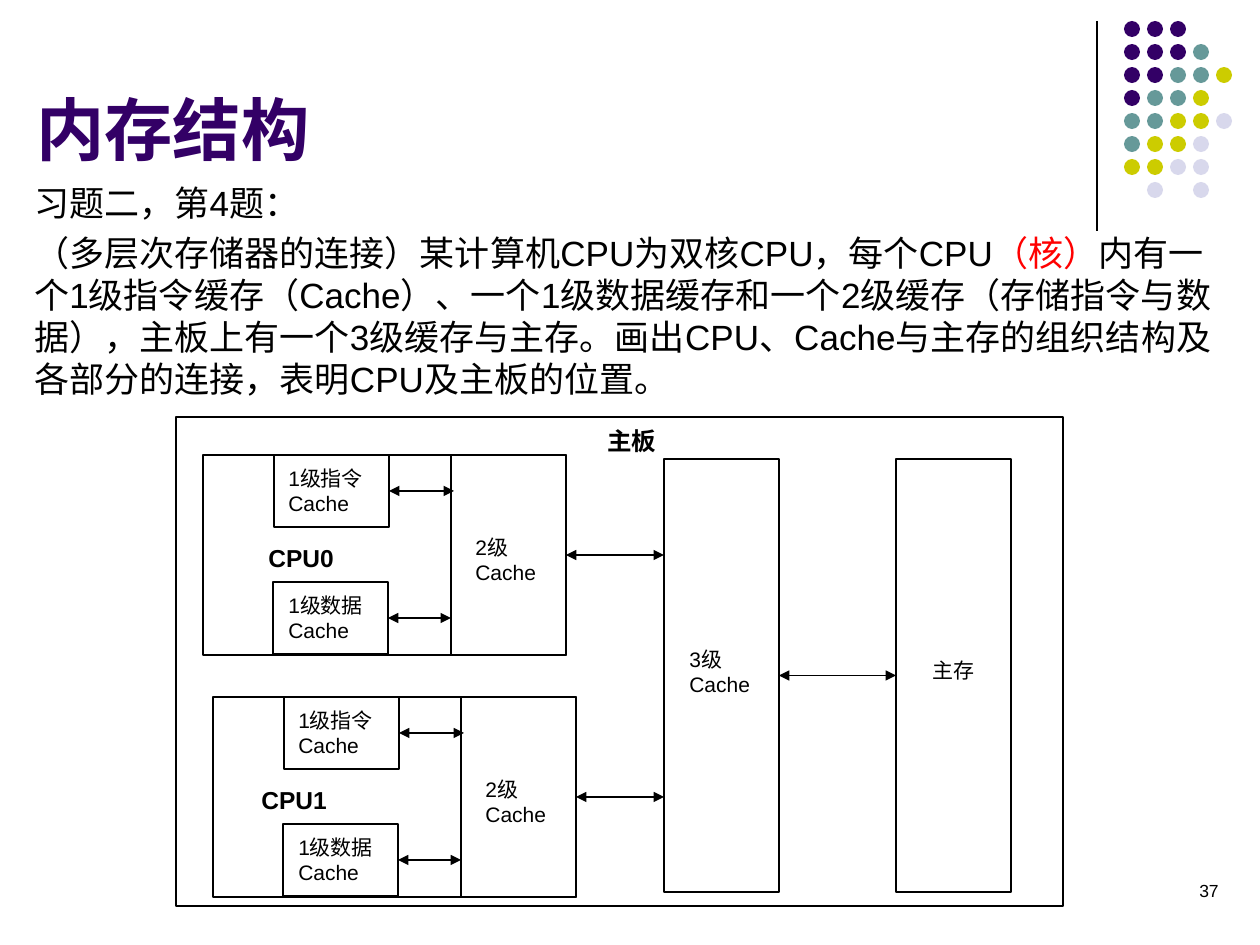
from lxml.etree import SubElement
from pptx import Presentation
from pptx.dml.color import RGBColor
from pptx.enum.lang import MSO_LANGUAGE_ID as Lang
from pptx.enum.shapes import MSO_CONNECTOR, MSO_SHAPE
from pptx.enum.text import MSO_ANCHOR as Anchor, PP_ALIGN as Align
from pptx.oxml.ns import qn
from pptx.util import Pt

PX = 914400 / 126
COLORS = {"black": "000000", "red": "FF0000", "purple": "330066",
          "teal": "669999", "olive": "CCCC00", "lavender": "D8D8EC"}
RGB = {name: RGBColor.from_string(value) for name, value in COLORS.items()}

prs = Presentation()
prs.slide_width, prs.slide_height = round(1260 * PX), round(945 * PX)
slide = prs.slides.add_slide(prs.slide_layouts[6])
shapes = slide.shapes


def write(text, x, y, w, h, size=12, bold=False, color="black",
          align=Align.LEFT, anchor=Anchor.TOP, before=0):
    """Text is a string, or a list of paragraphs made of (words, color) runs."""
    frame = shapes.add_textbox(*(round(v * PX) for v in (x, y, w, h))).text_frame
    frame.word_wrap = True
    frame.vertical_anchor = anchor
    paragraphs = [[(text, color)]] if isinstance(text, str) else text
    for i, pieces in enumerate(paragraphs):
        line = frame.add_paragraph() if i else frame.paragraphs[0]
        line.alignment = align
        if i:
            line.space_before = Pt(before)
        for words, tint in pieces:
            run = line.add_run()
            run.text = words
            run.font.name = "Arial"
            run.font.size = Pt(size)
            run.font.bold = bold
            run.font.color.rgb = RGB[tint]
            run.font.language_id = Lang.SIMPLIFIED_CHINESE


def draw(kind, x, y, w, h, fill=None):
    """A filled shape without a line, or an outline without a fill."""
    shape = shapes.add_shape(kind, *(round(v * PX) for v in (x, y, w, h)))
    shape.shadow.inherit = False
    if fill:
        shape.fill.solid()
        shape.fill.fore_color.rgb = RGB[fill]
        shape.line.fill.background()
    else:
        shape.fill.background()
        shape.line.color.rgb = RGB["black"]
        shape.line.width = Pt(0.75)
    return shape


# Corner dots
DOT_ROWS = ["PPP", "PPPT", "PPTTO", "PTTO", "TTOOL", "TOOL", "OOLL", " L L"]
DOT_COLORS = {"P": "purple", "T": "teal", "O": "olive", "L": "lavender"}
for row, dots in enumerate(DOT_ROWS):
    for col, dot in enumerate(dots):
        if dot in DOT_COLORS:
            draw(MSO_SHAPE.OVAL, 1124 + 23 * col, 21 + 23 * row, 16, 16, DOT_COLORS[dot])

# Page number, title and exercise
write("37", 937, 874, 294, 63, size=10, align=Align.RIGHT)
write("内存结构", 24, -4, 1040, 179, size=39, bold=True, color="purple",
      anchor=Anchor.BOTTOM)
write([
    [("习题二，第4题：", "black")],
    [("（多层次存储器的连接）某计算机CPU为双核CPU，每个CPU", "black"),
     ("（核）", "red"),
     ("内有一个1级指令缓存（Cache）、一个1级数据缓存和一个2级缓存"
      "（存储指令与数据），主板上有一个3级缓存与主存。"
      "画出CPU、Cache与主存的组织结构及各部分的连接，"
      "表明CPU及主板的位置。", "black")],
], 22, 175, 1211, 755, size=20, before=5)

# Mainboard, level 3 cache and main memory
RECT = MSO_SHAPE.RECTANGLE
draw(RECT, 176, 417, 887, 489)
write("主板", 595, 420, 126, 43, size=14, bold=True)
level3 = draw(RECT, 664, 459, 115, 433)
write("3级Cache", 677, 640, 93, 63)
memory = draw(RECT, 896, 459, 115, 433)
write("主存", 920, 651, 93, 38)

# Links: x1, y1, x2, y2, start shape, end shape, arrowheads
links = [(1097, 21, 1097, 231, None, None, False),
         (779, 676, 896, 676, level3, memory, True)]

# The two cores
for name, x, y, name_x in [("CPU0", 203, 455, 256), ("CPU1", 213, 697, 249)]:
    draw(RECT, x, y, 363, 200)
    level2 = draw(RECT, x + 248, y, 115, 200)
    write("2级Cache", x + 260, y + 73, 93, 63)
    links.append((x + 363, y + 100, 664, y + 100, level2, None, True))
    for label, dx, dy, link_end in [("1级指令Cache", 71, 0, 251),
                                    ("1级数据Cache", 70, 127, 248)]:
        level1 = draw(RECT, x + dx, y + dy, 115, 72)
        write(label, x + 73, y + dy + 4, 126, 63)
        links.append((x + dx + 115, y + dy + 36, x + link_end, y + dy + 36,
                      level1, None, True))
    write(name, name_x, y + 82, 126, 43, size=14, bold=True)

# Divider and arrows
for *ends, start, end, arrows in links:
    link = shapes.add_connector(MSO_CONNECTOR.STRAIGHT, *(round(v * PX) for v in ends))
    if start:
        link.begin_connect(start, 3)
    if end:
        link.end_connect(end, 1)
    link.line.color.rgb = RGB["black"]
    link.line.width = Pt(0.75)
    if arrows:
        outline = link.line._get_or_add_ln()
        for tip in ("a:headEnd", "a:tailEnd"):
            SubElement(outline, qn(tip), type="triangle")
    SubElement(link._element.spPr, qn("a:effectLst"))

prs.save("out.pptx")
